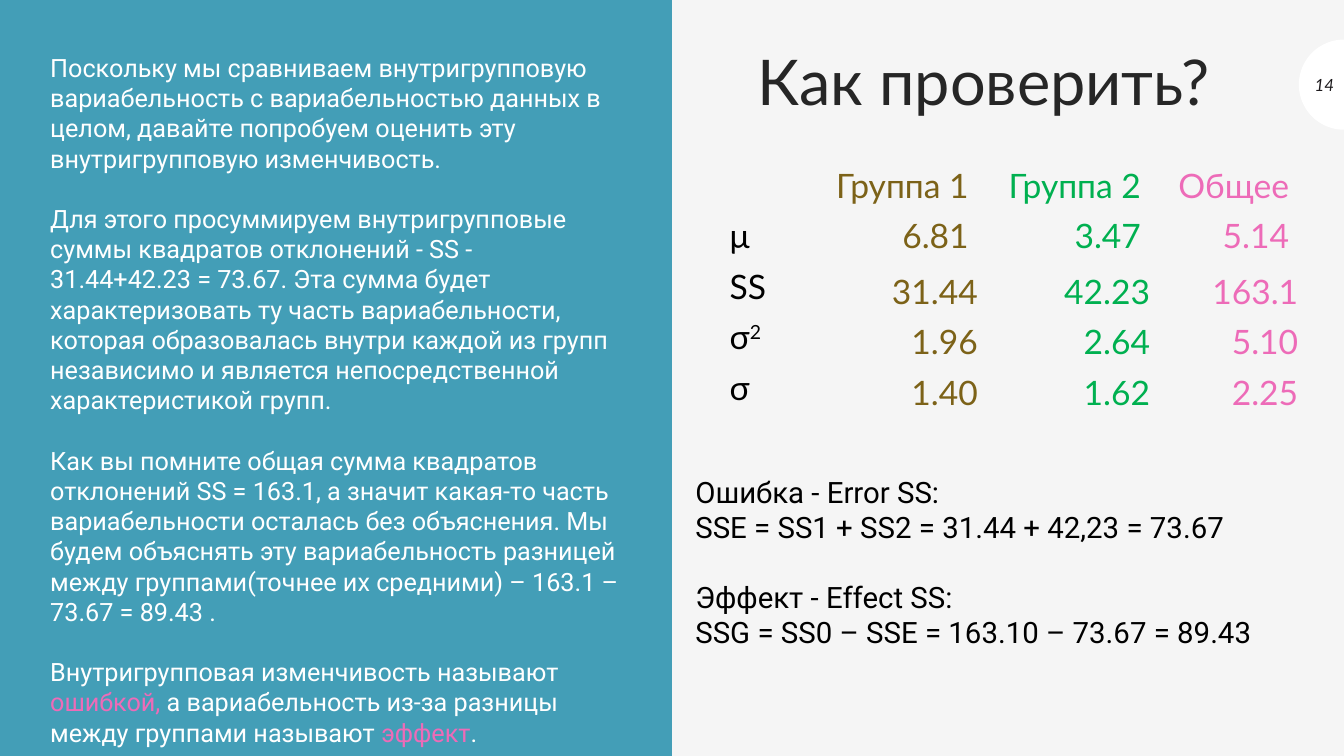
from dataclasses import dataclass
from math import cos, pi, sin

from pptx import Presentation
from pptx.dml.color import RGBColor
from pptx.enum.shapes import MSO_SHAPE
from pptx.enum.text import MSO_ANCHOR, PP_ALIGN
from pptx.shapes.base import BaseShape
from pptx.slide import Slide
from pptx.table import _Cell
from pptx.text.text import TextFrame
from pptx.util import Pt


@dataclass(frozen=True)
class Theme:
    background: str = "F5F5F5"
    panel: str = "439EB7"
    white: str = "FFFFFF"
    black: str = "000000"
    title: str = "262626"
    number: str = "1D1A1D"
    first_group: str = "7C6218"
    second_group: str = "00B050"
    accent: str = "ED6BB8"
    heading_font: str = "Lato"
    body_font: str = "Roboto"
    title_size: float = 45
    table_size: float = 24
    formula_size: float = 21
    body_size: float = 18
    number_size: float = 12


THEME = Theme()


@dataclass(frozen=True)
class Span:
    text: str
    color: str
    superscript: bool = False


@dataclass(frozen=True)
class Para:
    spans: tuple[Span, ...]
    space_before: float = 0


@dataclass(frozen=True)
class TextBox:
    left: float
    top: float
    width: float
    height: float
    paras: tuple[Para, ...]
    font: str
    size: float
    align: PP_ALIGN = PP_ALIGN.LEFT
    anchor: MSO_ANCHOR = MSO_ANCHOR.TOP
    line_spacing: float = 1.0
    italic: bool = False


def plain(text: str, color: str, space_before: float = 0) -> Para:
    return Para((Span(text, color),), space_before)


BODY_GAP = 21.5
FORMULA_GAP = 25

EXPLANATION = (
    plain("Поскольку мы сравниваем внутригрупповую вариабельность с вариабельностью данных "
          "в целом, давайте попробуем оценить эту внутригрупповую изменчивость.", THEME.white),
    plain("Для этого просуммируем внутригрупповые суммы квадратов отклонений - SS - "
          "31.44+42.23 = 73.67. Эта сумма будет характеризовать ту часть вариабельности, "
          "которая образовалась внутри каждой из групп независимо и является "
          "непосредственной характеристикой групп.", THEME.white, BODY_GAP),
    plain("Как вы помните общая сумма квадратов отклонений SS = 163.1, а значит какая-то "
          "часть вариабельности осталась без объяснения. Мы будем объяснять эту "
          "вариабельность разницей между группами(точнее их средними) – 163.1 – "
          "73.67 = 89.43 .", THEME.white, BODY_GAP),
    Para((Span("Внутригрупповая изменчивость называют ", THEME.white),
          Span("ошибкой, ", THEME.accent),
          Span("а вариабельность из-за разницы между группами называют ", THEME.white),
          Span("эффект", THEME.accent),
          Span(".", THEME.white)), BODY_GAP),
)

FORMULAS = (
    plain("Ошибка - Error SS:", THEME.black),
    plain("SSE = SS1 + SS2 = 31.44 + 42,23 = 73.67", THEME.black),
    plain("Эффект - Effect SS:", THEME.black, FORMULA_GAP),
    plain("SSG = SS0 – SSE = 163.10 – 73.67 = 89.43", THEME.black),
)

TEXT_BOXES = (
    TextBox(501.8, 33.8, 401.8, 54, (plain("Как проверить?", THEME.title),),
            THEME.heading_font, THEME.title_size, PP_ALIGN.CENTER, MSO_ANCHOR.MIDDLE, 0.9),
    TextBox(928, 46, 32, 29, (plain("14", THEME.number),), THEME.heading_font,
            THEME.number_size, PP_ALIGN.RIGHT, MSO_ANCHOR.MIDDLE, italic=True),
    TextBox(28.8, 33.8, 420.5, 487.4, EXPLANATION, THEME.body_font, THEME.body_size),
    TextBox(489.6, 334.8, 468, 134.6, FORMULAS, THEME.body_font, THEME.formula_size),
)

COLUMN_WIDTHS = (49.7, 135.4, 123.1, 105.8)
COLUMN_COLORS = (THEME.black, THEME.first_group, THEME.second_group, THEME.accent)
ROW_HEIGHT = 36
STATISTICS = (
    ("", "Группа 1", "Группа 2", "Общее"),
    ("μ", "6.81", "3.47", "5.14"),
    ("SS", "31.44", "42.23", "163.1"),
    ("σ²", "1.96", "2.64", "5.10"),
    ("σ", "1.40", "1.62", "2.25"),
)
FIRST_TIGHT_ROW = 2
NO_GRID_STYLE = "{2D5ABB26-0587-4C30-8999-92F81FD0307C}"


def write(frame: TextFrame, paras: tuple[Para, ...], font: str, size: float,
          align: PP_ALIGN, line_spacing: float = 1.0, italic: bool = False) -> None:
    for index, para in enumerate(paras):
        paragraph = frame.add_paragraph() if index else frame.paragraphs[0]
        paragraph.alignment = align
        paragraph.line_spacing = line_spacing
        if para.space_before:
            paragraph.space_before = Pt(para.space_before)
        for span in para.spans:
            run = paragraph.add_run()
            run.text = span.text
            run.font.name = font
            run.font.size = Pt(size)
            run.font.italic = italic
            run.font.color.rgb = RGBColor.from_string(span.color)
            if span.superscript:
                run.font._element.set("baseline", "30000")


def paint(shape: BaseShape, color: str) -> None:
    shape.shadow.inherit = False
    shape.fill.solid()
    shape.fill.fore_color.rgb = RGBColor.from_string(color)
    shape.line.fill.background()


def draw_number_badge(page: Slide, center_x: float, center_y: float, radius: float) -> None:
    steps = 48
    angles = [pi / 2 + pi * step / steps for step in range(steps + 1)]
    points = [(Pt(center_x + radius * cos(angle)), Pt(center_y + radius * sin(angle)))
              for angle in angles]
    builder = page.shapes.build_freeform(*points[0])
    builder.add_line_segments(points[1:], close=True)
    paint(builder.convert_to_shape(), THEME.white)


def draw_text_box(page: Slide, item: TextBox) -> None:
    box = page.shapes.add_textbox(Pt(item.left), Pt(item.top), Pt(item.width), Pt(item.height))
    frame = box.text_frame
    frame.word_wrap = True
    frame.vertical_anchor = item.anchor
    write(frame, item.paras, item.font, item.size, item.align, item.line_spacing, item.italic)


def fill_cell(cell: _Cell, text: str, color: str, is_label: bool, is_tight: bool) -> None:
    cell.fill.background()
    if is_tight:
        cell.vertical_anchor = MSO_ANCHOR.BOTTOM
        cell.margin_left = cell.margin_right = cell.margin_top = Pt(0.7)
        cell.margin_bottom = Pt(0)
    if text:
        base = text.removesuffix("²")
        spans = (Span(base, color),)
        if base != text:
            spans += (Span("2", color, superscript=True),)
        align = PP_ALIGN.LEFT if is_label else PP_ALIGN.RIGHT
        write(cell.text_frame, (Para(spans),), THEME.heading_font, THEME.table_size, align)


def draw_statistics(page: Slide, left: float, top: float) -> None:
    frame = page.shapes.add_table(len(STATISTICS), len(COLUMN_WIDTHS), Pt(left), Pt(top),
                                  Pt(sum(COLUMN_WIDTHS)), Pt(ROW_HEIGHT * len(STATISTICS)))
    table = frame.table
    table.first_row = False
    table.horz_banding = False
    table._tbl.tblPr[0].text = NO_GRID_STYLE
    for column, width in zip(table.columns, COLUMN_WIDTHS):
        column.width = Pt(width)
    for row_index, row in enumerate(STATISTICS):
        for column_index, text in enumerate(row):
            is_label = column_index == 0
            is_tight = row_index >= FIRST_TIGHT_ROW and not is_label
            fill_cell(table.cell(row_index, column_index), text,
                      COLUMN_COLORS[column_index], is_label, is_tight)


def main() -> None:
    deck = Presentation()
    deck.slide_width, deck.slide_height = Pt(960), Pt(540)
    page = deck.slides.add_slide(deck.slide_layouts[6])
    page.background.fill.solid()
    page.background.fill.fore_color.rgb = RGBColor.from_string(THEME.background)
    draw_number_badge(page, 960, 60.5, 32.2)
    panel = page.shapes.add_shape(MSO_SHAPE.RECTANGLE, 0, 0, Pt(480), Pt(540))
    paint(panel, THEME.panel)
    for item in TEXT_BOXES:
        draw_text_box(page, item)
    draw_statistics(page, 514, 114.5)
    deck.save("out.pptx")


if __name__ == "__main__":
    main()
